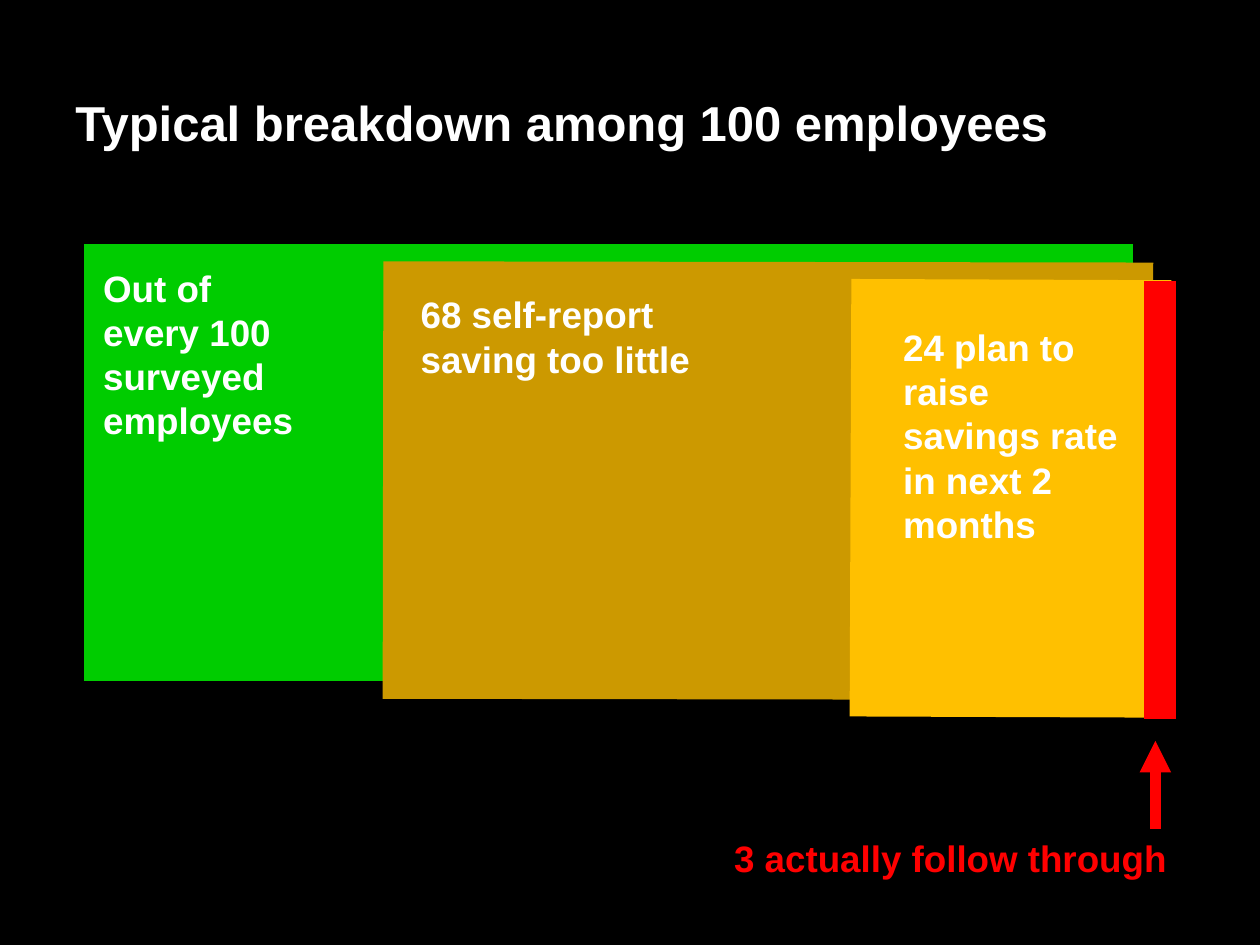
from dataclasses import dataclass

from lxml.etree import SubElement
from pptx import Presentation
from pptx.dml.color import RGBColor as Rgb
from pptx.enum.shapes import MSO_CONNECTOR as Link
from pptx.enum.text import MSO_ANCHOR as Anchor, MSO_AUTO_SIZE as Fit, PP_ALIGN as Align
from pptx.oxml.ns import qn
from pptx.util import Inches, Pt

COLS, ROWS = 100, 75


@dataclass(frozen=True)
class Theme:
    font: str = "Arial"
    back: str = "000000"
    white: str = "FFFFFF"
    green: str = "00CC00"
    brown: str = "CC9900"
    gold: str = "FFC000"
    red: str = "FF0000"
    head: int = 28
    body: int = 21
    bar: int = 250
    arrow: int = 6


@dataclass(frozen=True)
class Bar:
    left: float
    right: float
    mid: float
    color: str
    drop: float = 0


@dataclass(frozen=True)
class Label:
    text: str
    box: tuple[float, float, float, float]


theme = Theme()
deck = Presentation()
deck.slide_width, deck.slide_height = Inches(10), Inches(7.5)
slide = deck.slides.add_slide(deck.slide_layouts[6])
fill = slide.background.fill
fill.solid()
fill.fore_color.rgb = Rgb.from_string(theme.back)


def place(col: float, row: float) -> tuple[int, int]:
    """Turn grid columns and rows into slide lengths."""
    return round(deck.slide_width * col / COLS), round(deck.slide_height * row / ROWS)


def add_line(start: tuple[float, float], end: tuple[float, float],
             color: str, width: float, arrow: bool = False) -> None:
    link = slide.shapes.add_connector(Link.STRAIGHT, *place(*start), *place(*end))
    link.line.color.rgb = Rgb.from_string(color)
    link.line.width = Pt(width)
    props = link._element.spPr
    if arrow:
        SubElement(props.find(qn("a:ln")), qn("a:tailEnd"), type="triangle")
    SubElement(props, qn("a:effectLst"))


def add_bar(bar: Bar) -> None:
    add_line((bar.left, bar.mid), (bar.right, bar.mid + bar.drop), bar.color, theme.bar)


def add_text(text: str, box: tuple[float, float, float, float], *,
             size: int = theme.body, color: str = theme.white,
             align: Align = Align.LEFT, anchor: Anchor = Anchor.TOP,
             fit: Fit = Fit.SHAPE_TO_FIT_TEXT) -> None:
    frame = slide.shapes.add_textbox(*place(*box[:2]), *place(*box[2:])).text_frame
    frame.word_wrap = True
    frame.auto_size = fit
    frame.vertical_anchor = anchor
    para = frame.paragraphs[0]
    para.alignment = align
    run = para.add_run()
    run.text = text
    font = run.font
    font.name, font.size, font.bold = theme.font, Pt(size), True
    font.color.rgb = Rgb.from_string(color)


BARS = (
    Bar(6.7, 89.9, 36.7, theme.green),
    Bar(30.4, 91.5, 38.1, theme.brown, 0.1),
    Bar(67.5, 92.9, 39.5, theme.gold, 0.1),
)
LABELS = (
    Label("Out of every 100 surveyed employees", (7.2, 20.6, 17.8, 15)),
    Label("68 self-report saving too little", (32.4, 22.7, 28, 8)),
    Label("24 plan to raise savings rate in next 2 months", (70.7, 25.3, 20.4, 18.5)),
)

add_text("Typical breakdown among 100 employees", (5, 2.2, 90, 10.3),
         size=theme.head, anchor=Anchor.BOTTOM, fit=Fit.NONE)
for bar in BARS:
    add_bar(bar)
for label in LABELS:
    add_text(label.text, label.box)
add_text("3 actually follow through", (46.6, 65.8, 47, 4.5),
         color=theme.red, align=Align.RIGHT)
add_bar(Bar(90.8, 93.3, 39.7, theme.red))
add_line((91.7, 65.8), (91.7, 58.8), theme.red, theme.arrow, arrow=True)

deck.save("out.pptx")
